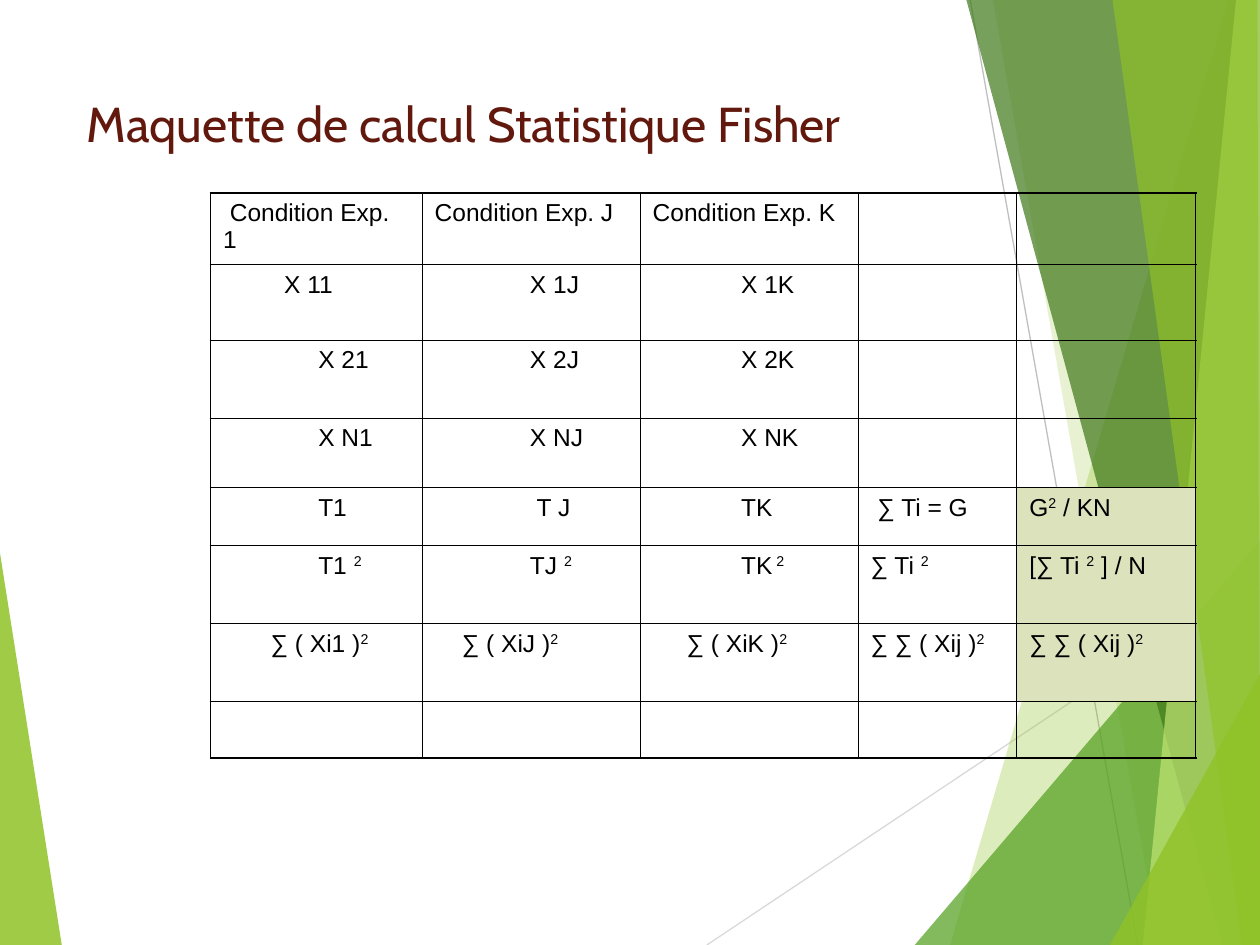
"""Build the slide with the Fisher statistic calculation table."""
from lxml.etree import SubElement as Sub
from pptx import Presentation
from pptx.dml.color import RGBColor
from pptx.enum.shapes import MSO_CONNECTOR as Conn
from pptx.oxml.ns import qn
from pptx.util import Inches, Pt

W, H = 10, 7.5
BLACK, TINT = "000000", "DCE2BC"
SPACE = 0.054
THIN, THICK = 0.45, 1.08

TITLE = "Maquette de calcul Statistique Fisher"

LEFT = [("90C226", 85, [(0, 4.39), (0.49, H), (0, H)])]
LINES = [
    ("D9D9D9", (5.61, H), (W, 4.57)),
    ("BFBFBF", (7.7, 0), (9.03, H)),
]
RIGHT = [
    ("90C226", 30, [(9.75, 0), (7.54, H), (W, H), (W, 0)]),
    ("90C226", 20, [(7.88, 0), (9.2, H), (W, H), (W, 0)]),
    ("54A021", 72, [(7.26, H), (W, 4.29), (W, H)]),
    ("3F7819", 70, [(7.67, 0), (9.7, H), (W, H), (W, 0)]),
    ("C0E474", 70, [(9.81, 0), (9.07, H), (W, H), (W, 0)]),
    ("90C226", 65, [(8.83, 0), (9.86, H), (W, H), (9.98, 0)]),
    ("90C226", 80, [(8.81, H), (W, 5.35), (W, H)]),
]

COLS = [1.68, 1.73, 1.73, 1.26, 1.42]
ROWS = [0.57, 0.6, 0.62, 0.55, 0.46, 0.62, 0.62, 0.45]
CELLS = [
    [(1, "Condition Exp. 1"), (0, "Condition Exp. J"), (0, "Condition Exp. K")],
    [(9, "X 11"), (14, "X 1J"), (13, "X 1K")],
    [(14, "X 21"), (14, "X 2J"), (13, "X 2K")],
    [(14, "X N1"), (14, "X NJ"), (13, "X NK")],
    [(14, "T1"), (15, "T J"), (13, "TK"), (1, "∑ Ti = G"), (0, "G^2^ / KN")],
    [(14, "T1 ^2"), (14, "TJ ^2"), (13, "TK^ 2"), (0, "∑ Ti ^2"),
     (0, "[∑ Ti ^2^ ] / N")],
    [(7, "∑ ( Xi1 )^2"), (4, "∑ ( XiJ )^2"), (5, "∑ ( XiK )^2"),
     (0, "∑ ∑ ( Xij )^2"), (0, "∑ ∑ ( Xij )^2")],
    [],
]
TINTED = {(4, 4), (5, 4), (6, 4)}


def rgb(code):
    """Turn a hex string into a colour."""
    return RGBColor.from_string(code)


def add_run(para, text, face, size, tone):
    """Add one styled run to a paragraph."""
    run = para.add_run()
    run.text = text
    run.font.name, run.font.size = face, Pt(size)
    run.font.color.rgb = rgb(tone)
    return run


def add_facet(slide, tone, alpha, points):
    """Draw one translucent polygon."""
    spots = [(Inches(x), Inches(y)) for x, y in points]
    pen = slide.shapes.build_freeform(*spots[0], scale=1.0)
    pen.add_line_segments(spots[1:], close=True)
    facet = pen.convert_to_shape()
    facet.shadow.inherit = False
    facet.fill.solid()
    facet.fill.fore_color.rgb = rgb(tone)
    facet.line.fill.background()
    fill = facet._element.spPr.find(qn("a:solidFill"))
    Sub(fill[0], qn("a:alpha"), val=str(alpha * 1000))


def add_line(slide, tone, start, end):
    """Draw one thin straight line."""
    ends = [Inches(v) for v in start + end]
    line = slide.shapes.add_connector(Conn.STRAIGHT, *ends)
    line.line.color.rgb = rgb(tone)
    line.line.width = Pt(0.75)
    Sub(line._element.spPr, qn("a:effectLst"))


def add_edges(cell, row, col):
    """Give a cell its borders, thicker on the rim of the table."""
    rims = {
        "L": col == 0,
        "R": col == len(COLS) - 1,
        "T": row == 0,
        "B": row == len(ROWS) - 1,
    }
    props = cell._tc.get_or_add_tcPr()
    for side, rim in rims.items():
        edge = Sub(props, qn(f"a:ln{side}"), w=str(Pt(THICK if rim else THIN)))
        Sub(Sub(edge, qn("a:solidFill")), qn("a:srgbClr"), val=BLACK)


def fill_text(cell, shift, text):
    """Write a cell, with every second part between carets raised."""
    para = cell.text_frame.paragraphs[0]
    para._p.get_or_add_pPr().set("indent", str(Inches(shift * SPACE)))
    for i, part in enumerate(text.split("^")):
        run = add_run(para, part, "Arial", 14, BLACK)
        if i % 2:
            run._r.get_or_add_rPr().set("baseline", "30000")


def add_grid(slide):
    """Add the calculation table."""
    box = [Inches(v) for v in (1.67, 1.53, sum(COLS), sum(ROWS))]
    grid = slide.shapes.add_table(len(ROWS), len(COLS), *box).table
    grid.first_row = grid.horz_banding = False
    for col, width in zip(grid.columns, COLS):
        col.width = Inches(width)
    for row, height in zip(grid.rows, ROWS):
        row.height = Inches(height)
    for r in range(len(ROWS)):
        for c in range(len(COLS)):
            cell = grid.cell(r, c)
            add_edges(cell, r, c)
            if (r, c) in TINTED:
                cell.fill.solid()
                cell.fill.fore_color.rgb = rgb(TINT)
            else:
                cell.fill.background()
            if c < len(CELLS[r]):
                fill_text(cell, *CELLS[r][c])


def add_title(slide):
    """Add the title."""
    box = [Inches(v) for v in (0.59, 0.69, 6.94, 1.44)]
    frame = slide.shapes.add_textbox(*box).text_frame
    frame.word_wrap = True
    add_run(frame.paragraphs[0], TITLE, "Cabin", 28, "62180D")


def main():
    """Build and save the deck."""
    deck = Presentation()
    deck.slide_width, deck.slide_height = Inches(W), Inches(H)
    slide = deck.slides.add_slide(deck.slide_layouts[6])
    for facet in LEFT:
        add_facet(slide, *facet)
    for line in LINES:
        add_line(slide, *line)
    for facet in RIGHT:
        add_facet(slide, *facet)
    add_title(slide)
    add_grid(slide)
    deck.save("out.pptx")


if __name__ == "__main__":
    main()
